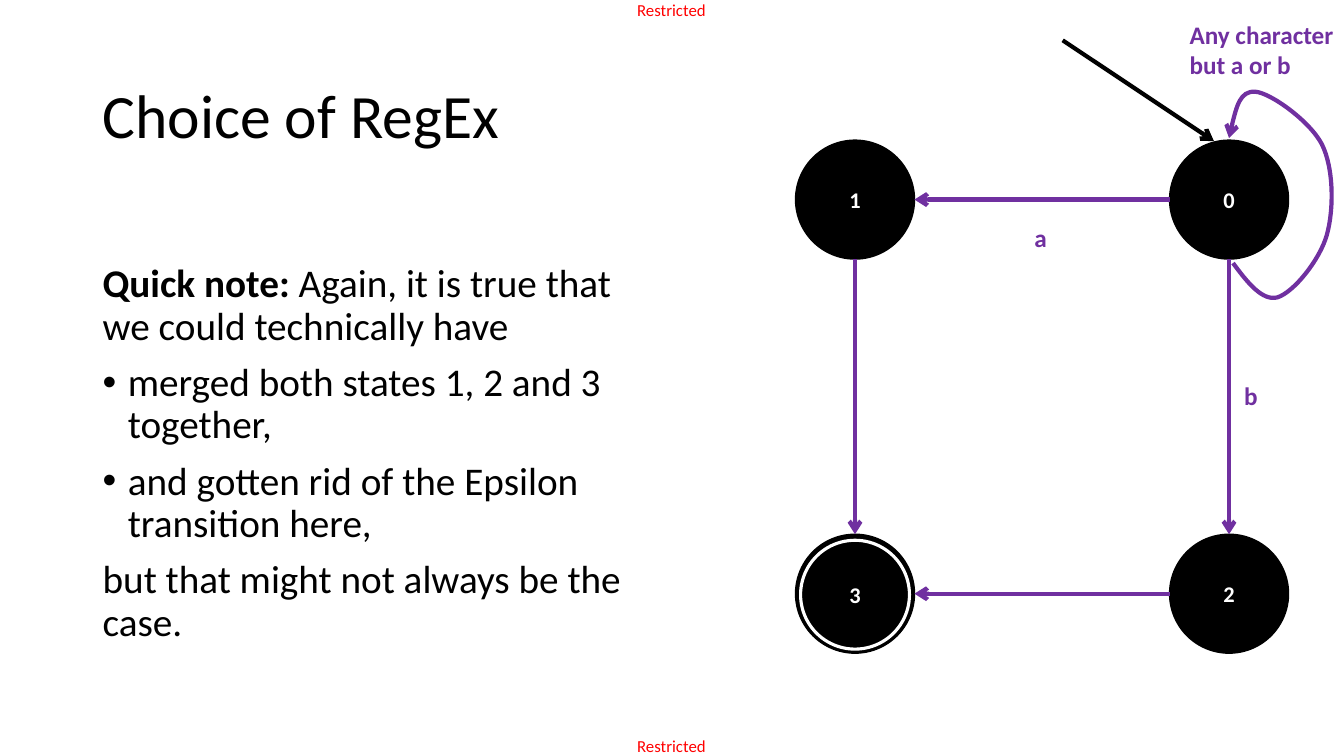
from lxml import etree
from pptx import Presentation
from pptx.dml.color import RGBColor
from pptx.enum.shapes import MSO_CONNECTOR, MSO_SHAPE
from pptx.enum.text import MSO_ANCHOR, PP_ALIGN
from pptx.oxml.ns import qn
from pptx.util import Inches, Pt

STRAIGHT = MSO_CONNECTOR.STRAIGHT
OVAL = MSO_SHAPE.OVAL
TOP, MIDDLE = MSO_ANCHOR.TOP, MSO_ANCHOR.MIDDLE
CENTER = PP_ALIGN.CENTER
BLACK = RGBColor(0x00, 0x00, 0x00)
WHITE = RGBColor(0xFF, 0xFF, 0xFF)
RED = RGBColor(0xFF, 0x00, 0x00)
PURPLE = RGBColor(0x70, 0x30, 0xA0)

prs = Presentation()
prs.slide_width, prs.slide_height = Inches(13.33), Inches(7.5)
slide = prs.slides.add_slide(prs.slide_layouts[6])
shapes = slide.shapes


def style_font(font, size, color, bold=None):
    font.name, font.size, font.bold = "Calibri", Pt(size), bold
    font.color.rgb = color


def style_arrow(arrow, color):
    arrow.line.color.rgb = color
    arrow.line.width = Pt(3)
    properties = arrow._element.spPr
    etree.SubElement(properties.find(qn("a:ln")), qn("a:tailEnd"), type="arrow")
    if properties.find(qn("a:effectLst")) is None:
        etree.SubElement(properties, qn("a:effectLst"))


labels = [
    ("Restricted", 6.32, 0, 0.73, 0.2, 12, RED, False, TOP, 0),
    ("Restricted", 6.32, 7.3, 0.73, 0.2, 12, RED, False, TOP, 0),
    ("Choice of RegEx", 0.92, 0.4, 11.5, 1.45, 44, BLACK, False, MIDDLE, 0.1),
    ("a", 10.16, 2.16, 0.61, 0.4, 18, PURPLE, True, TOP, 0.1),
    ("b", 12.24, 3.72, 0.61, 0.4, 18, PURPLE, True, TOP, 0.1),
    ("Any character\vbut a or b", 11.7, 0.14, 1.63, 0.71, 18, PURPLE, True, TOP, 0.1),
]
for text, left, top, width, height, size, color, bold, anchor, inset in labels:
    label = shapes.add_textbox(Inches(left), Inches(top), Inches(width), Inches(height))
    frame = label.text_frame
    frame.word_wrap = False
    frame.vertical_anchor = anchor
    frame.margin_left = frame.margin_right = Inches(inset)
    frame.margin_top = frame.margin_bottom = Inches(inset / 2)
    frame.text = text
    style_font(frame.paragraphs[0].font, size, color, bold)

note = shapes.add_textbox(Inches(0.92), Inches(2.57), Inches(5.67), Inches(4.93)).text_frame
note.word_wrap = True
note_lines = [
    ([("Quick note: ", True), ("Again, it is true that we could technically have", False)], False),
    ([("merged both states 1, 2 and 3 together,", False)], True),
    ([("and gotten rid of the Epsilon transition here,", False)], True),
    ([("but that might not always be the case.", False)], False),
]
for index, (runs, bulleted) in enumerate(note_lines):
    paragraph = note.paragraphs[0] if index == 0 else note.add_paragraph()
    if bulleted:
        properties = paragraph._p.get_or_add_pPr()
        properties.set("marL", str(Inches(0.25)))
        properties.set("indent", str(-Inches(0.25)))
        etree.SubElement(properties, qn("a:buFont"), typeface="Arial")
        etree.SubElement(properties, qn("a:buChar"), char="•")
    paragraph.line_spacing = 0.9
    paragraph.space_before = Pt(10 if index else 0)
    style_font(paragraph.font, 28, BLACK)
    for text, bold in runs:
        run = paragraph.add_run()
        run.text = text
        run.font.bold = bold

LEFT, RIGHT, UPPER, LOWER, SIZE = 7.89, 11.6, 1.39, 5.3, 1.18
RADIUS = SIZE / 2
states = [
    ("0", RIGHT, UPPER, SIZE, BLACK, 1),
    ("1", LEFT, UPPER, SIZE, BLACK, 1),
    ("2", RIGHT, LOWER, SIZE, BLACK, 1),
    ("", LEFT, LOWER, SIZE, BLACK, 1),
    ("3", LEFT + 0.05, LOWER + 0.06, SIZE - 0.1, WHITE, 2.25),
]
for name, left, top, size, outline, weight in states:
    state = shapes.add_shape(OVAL, Inches(left), Inches(top), Inches(size), Inches(size))
    state.shadow.inherit = False
    state.fill.solid()
    state.fill.fore_color.rgb = BLACK
    state.line.color.rgb = outline
    state.line.width = Pt(weight)
    if name:
        state.text_frame.text = name
        state.text_frame.vertical_anchor = MIDDLE
        paragraph = state.text_frame.paragraphs[0]
        paragraph.alignment = CENTER
        style_font(paragraph.font, 16, WHITE, True)

transitions = [((10.54, 0.4), (12.04, 1.4), BLACK)]
for left in (LEFT, RIGHT):
    center = left + RADIUS
    transitions.append(((center, UPPER + SIZE), (center, LOWER), PURPLE))
for top in (UPPER, LOWER):
    center = top + RADIUS
    transitions.append(((RIGHT, center), (LEFT + SIZE, center), PURPLE))
for (x1, y1), (x2, y2), color in transitions:
    transition = shapes.add_connector(STRAIGHT, Inches(x1), Inches(y1), Inches(x2), Inches(y2))
    style_arrow(transition, color)

loop_points = [
    (12.37, 2.8), (12.52, 2.99), (12.67, 2.95),
    (12.83, 2.9), (13.09, 2.58), (13.16, 2.33),
    (13.23, 2.08), (13.23, 1.67), (13.11, 1.43),
    (12.99, 1.2), (12.6, 0.92), (12.45, 0.91),
    (12.3, 0.9), (12.24, 1.13), (12.19, 1.37),
]
builder = shapes.build_freeform(Inches(12.23), Inches(2.61))
builder.add_line_segments([(Inches(x), Inches(y)) for x, y in loop_points], close=False)
self_loop = builder.convert_to_shape()
self_loop.shadow.inherit = False
self_loop.fill.background()
outline_path = self_loop._element.spPr.find(".//" + qn("a:path"))
segments = outline_path.findall(qn("a:lnTo"))
for start in range(0, len(segments), 3):
    curve = etree.SubElement(outline_path, qn("a:cubicBezTo"))
    for segment in segments[start:start + 3]:
        curve.append(segment[0])
        outline_path.remove(segment)
style_arrow(self_loop, PURPLE)

prs.save("out.pptx")
